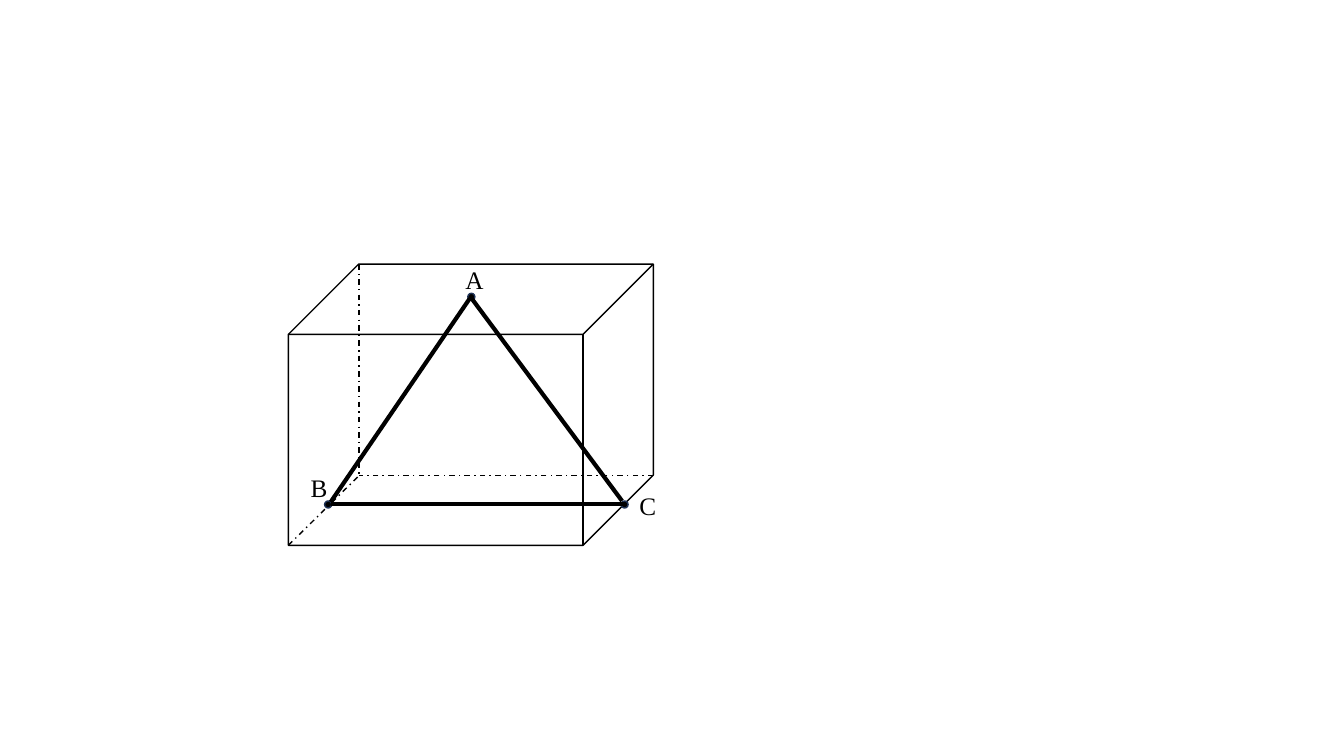
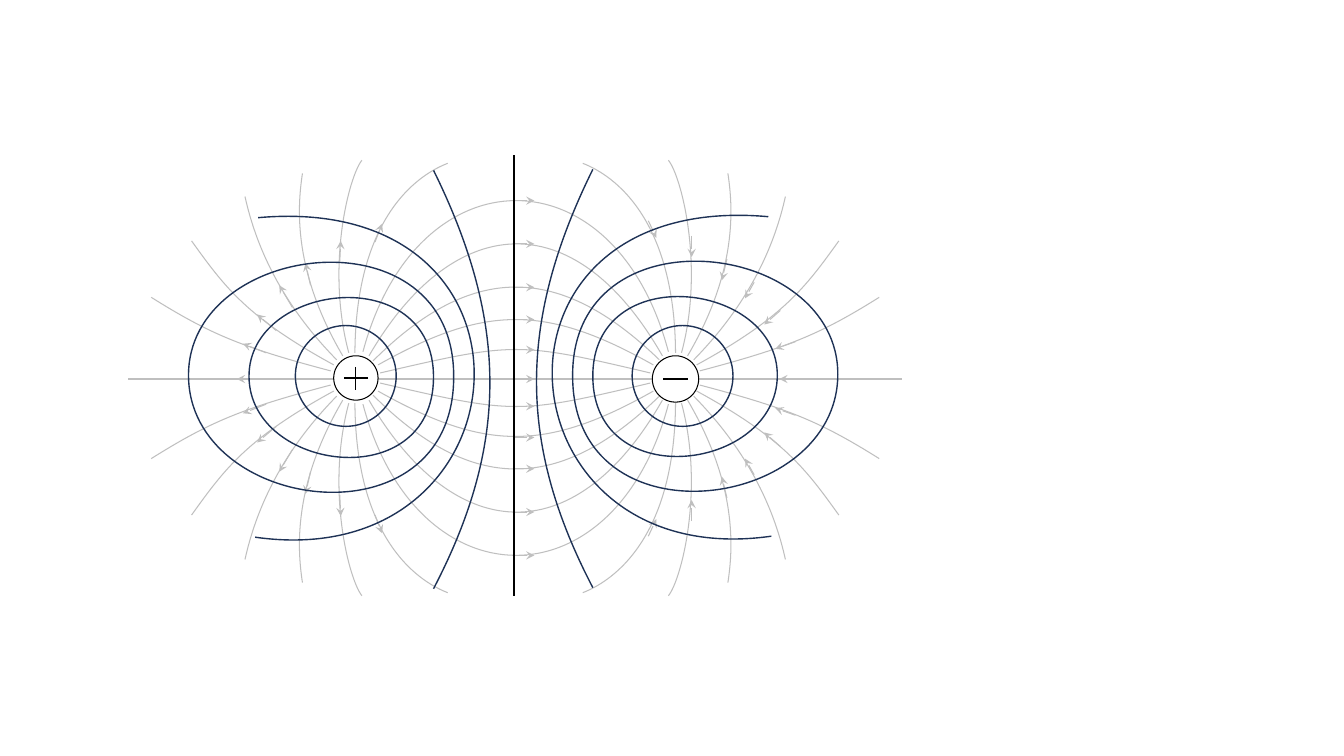
"""Draw a triangle section in a box, and the field of two opposite charges."""
import dataclasses
import itertools
import typing

import lxml.etree
import pptx
import pptx.dml.color
import pptx.enum.dml
import pptx.enum.shapes
import pptx.enum.text
import pptx.oxml.ns
import pptx.util

PX = 9144
COLORS = {"ink": "000000", "navy": "1E3256", "field": "BFBFBF", "paper": "FFFFFF"}
FONT = "Times New Roman"
CURVE_STEPS = 24
FIELD_X_SUM, FIELD_Y_SUM = 1022, 750
ARROW_Y_SUM = 751
POTENTIAL_X_SUM, POTENTIAL_RISE = 1018, 1
AXIS_Y = 376

Point = tuple[int, int]
Points = tuple[Point, ...]
Shapes = typing.Any


@dataclasses.dataclass(frozen=True)
class Stroke:
    color: str
    width: float
    dashed: bool = False
    arrow: bool = False


@dataclasses.dataclass(frozen=True)
class Vertex:
    letter: str
    dot: Point
    label: Point


@dataclasses.dataclass(frozen=True)
class Charge:
    left: int
    top: int
    size: int
    signs: tuple[tuple[Point, Point], ...]


EDGE = Stroke("ink", 1)
HIDDEN_EDGE = Stroke("ink", 1, dashed=True)
TRIANGLE_SIDE = Stroke("ink", 3)
DOT_RIM = Stroke("navy", 1)
FIELD = Stroke("field", 0.75)
FIELD_ARROW = Stroke("field", 0.75, arrow=True)
CHARGE_RIM = Stroke("ink", 0.75)
MIDPLANE = Stroke("ink", 1.5)
POTENTIAL = Stroke("navy", 1)

HIDDEN_CORNER = (356, 472)
HIDDEN_ENDS = ((356, 262), (648, 472), (286, 541))
VERTICES = (
    Vertex("A", (464, 291), (458, 262)),
    Vertex("B", (322, 497), (304, 469)),
    Vertex("C", (616, 497), (630, 486)),
)
TRIANGLE = (
    ((466, 296), (328, 498)),
    ((618, 500), (328, 500)),
    ((467, 295), (617, 497)),
)

BRIDGING_LINES: tuple[Points, ...] = (
    ((377, 370), (511, 339), (513, 339), (645, 370)),
    ((375, 362), (480, 303), (540, 301), (648, 362)),
    ((370, 358), (468, 260), (555, 261), (654, 357)),
    ((366, 353), (447, 213), (568, 197), (657, 353)),
    ((360, 349), (413, 150), (610, 148), (663, 349)),
)
OUTER_LINES: tuple[Points, ...] = (
    ((352, 350), (353, 200), (429, 168), (444, 162)),
    ((346, 350), (323, 265), (346, 175), (359, 159)),
    ((340, 353), (290, 268), (295, 205), (300, 172)),
    ((334, 357), (276, 298), (253, 240), (243, 195)),
    ((331, 362), (245, 315), (223, 285), (190, 239)),
    ((328, 368), (241, 345), (209, 332), (150, 295)),
)
BRIDGING_ARROW_YS = (199, 242, 285, 317, 347, AXIS_Y, 403, 434, 465, 508, 551)
OUTER_ARROWS = (
    ((372, 240), (379, 222)),
    ((337, 260), (338, 239)),
    ((308, 283), (303, 261)),
    ((290, 305), (277, 283)),
    ((274, 328), (255, 312)),
    ((264, 350), (241, 341)),
    ((643, 219), (651, 236)),
    ((686, 234), (686, 255)),
    ((721, 257), (716, 278)),
    ((748, 280), (739, 296)),
    ((774, 308), (758, 322)),
    ((789, 339), (769, 346)),
)
AXIS_ARROWS = (((258, AXIS_Y), (235, AXIS_Y)), ((795, AXIS_Y), (773, AXIS_Y)))
CHARGES = (
    Charge(647, 353, 46, (((682, 376), (658, 376)),)),
    Charge(331, 353, 44, (((353, 364), (353, 387)), ((365, 375), (341, 375)))),
)
POTENTIALS: tuple[Points, ...] = (
    ((430, 169), (506, 323), (503, 444), (430, 584)),
    ((430, 375), (431, 258), (246, 280), (247, 374),
     (248, 468), (429, 492), (430, 375)),
    ((450, 375), (452, 207), (186, 238), (187, 373),
     (188, 509), (449, 543), (450, 375)),
    ((256, 216), (558, 189), (526, 572), (253, 533)),
)
INNER_POTENTIAL_LEFTS = (293, 627)


def px(length: float) -> int:
    """Turn px into EMU."""
    return round(length * PX)


def rgb(name: str) -> pptx.dml.color.RGBColor:
    """Look up a named colour."""
    return pptx.dml.color.RGBColor.from_string(COLORS[name])


def reflect(points: Points, x_sum: int | None = None, y_sum: int | None = None) -> Points:
    """Mirror points about a vertical line, a horizontal line or both."""
    return tuple(
        (x if x_sum is None else x_sum - x, y if y_sum is None else y_sum - y)
        for x, y in points
    )


def apply_stroke(line: typing.Any, stroke: Stroke) -> None:
    """Give a line its colour, width and dash."""
    line.color.rgb = rgb(stroke.color)
    line.width = pptx.util.Pt(stroke.width)
    if stroke.dashed:
        line.dash_style = pptx.enum.dml.MSO_LINE.DASH_DOT


def draw_line(shapes: Shapes, start: Point, end: Point, stroke: Stroke) -> None:
    """Draw a straight connector, with an arrowhead if the stroke has one."""
    connector = shapes.add_connector(
        pptx.enum.shapes.MSO_CONNECTOR.STRAIGHT, *map(px, start + end)
    )
    apply_stroke(connector.line, stroke)
    properties = connector._element.spPr
    if stroke.arrow:
        outline = properties.find(pptx.oxml.ns.qn("a:ln"))
        lxml.etree.SubElement(outline, pptx.oxml.ns.qn("a:tailEnd"), type="stealth")
    lxml.etree.SubElement(properties, pptx.oxml.ns.qn("a:effectLst"))


def draw_shape(
    shapes: Shapes, kind: pptx.enum.shapes.MSO_SHAPE, box: tuple[int, int, int, int],
    stroke: Stroke, fill: str | None = None,
) -> None:
    """Draw a preset shape, unfilled unless a colour is named."""
    figure = shapes.add_shape(kind, *map(px, box))
    figure.shadow.inherit = False
    if fill is None:
        figure.fill.background()
    else:
        figure.fill.solid()
        figure.fill.fore_color.rgb = rgb(fill)
    apply_stroke(figure.line, stroke)


def bezier_point(controls: Points, t: float) -> tuple[float, float]:
    """Find the point of a cubic Bézier curve at t."""
    weights = ((1 - t) ** 3, 3 * t * (1 - t) ** 2, 3 * t * t * (1 - t), t**3)
    x, y = (sum(w * v for w, v in zip(weights, axis)) for axis in zip(*controls))
    return x, y


def draw_curve(shapes: Shapes, points: Points, stroke: Stroke) -> None:
    """Draw joined cubic curves in a freeform that fits them tightly."""
    spans = [points[i:i + 4] for i in range(0, len(points) - 1, 3)]
    samples = [
        bezier_point(span, step / CURVE_STEPS)
        for span in spans for step in range(1, CURVE_STEPS + 1)
    ]
    builder = shapes.build_freeform(*map(px, points[0]))
    closed = points[0] == points[-1]
    builder.add_line_segments([(px(x), px(y)) for x, y in samples], close=closed)
    curve = builder.convert_to_shape()
    outline = next(curve._element.iter(pptx.oxml.ns.qn("a:path")))
    for segment in list(outline)[1:]:
        outline.remove(segment)
    for span in spans:
        bend = lxml.etree.SubElement(outline, pptx.oxml.ns.qn("a:cubicBezTo"))
        for x, y in span[1:]:
            lxml.etree.SubElement(
                bend, pptx.oxml.ns.qn("a:pt"),
                x=str(px(x) - curve.left), y=str(px(y) - curve.top),
            )
    if closed:
        lxml.etree.SubElement(outline, pptx.oxml.ns.qn("a:close"))
    curve.shadow.inherit = False
    curve.fill.background()
    apply_stroke(curve.line, stroke)


def write_text(
    shapes: Shapes, text: str, corner: Point, *, width: int = 25, height: int = 30,
    size: int = 18, color: str = "ink",
) -> None:
    """Write centred text in a box without margins."""
    frame = shapes.add_textbox(*map(px, (*corner, width, height))).text_frame
    frame.margin_left = frame.margin_right = frame.margin_top = frame.margin_bottom = 0
    frame.word_wrap = True
    frame.auto_size = pptx.enum.text.MSO_AUTO_SIZE.SHAPE_TO_FIT_TEXT
    paragraph = frame.paragraphs[0]
    paragraph.alignment = pptx.enum.text.PP_ALIGN.CENTER
    run = paragraph.add_run()
    run.text = text
    run.font.name = FONT
    run.font.size = pptx.util.Pt(size)
    run.font.color.rgb = rgb(color)


def draw_box_section(shapes: Shapes) -> None:
    """Draw the box with triangle ABC inside it."""
    draw_shape(shapes, pptx.enum.shapes.MSO_SHAPE.CUBE, (286, 262, 362, 279), EDGE)
    for end in HIDDEN_ENDS:
        draw_line(shapes, end, HIDDEN_CORNER, HIDDEN_EDGE)
    for vertex in VERTICES:
        draw_shape(shapes, pptx.enum.shapes.MSO_SHAPE.OVAL, (*vertex.dot, 7, 7), DOT_RIM, "ink")
        write_text(shapes, vertex.letter, vertex.label)
    for start, end in TRIANGLE:
        draw_line(shapes, start, end, TRIANGLE_SIDE)


def draw_field(shapes: Shapes) -> None:
    """Draw the field lines, their arrows and the two charges."""
    for end in (127, 895):
        draw_line(shapes, (352, AXIS_Y), (end, AXIS_Y), FIELD)
    for x_sum, y_sum in itertools.product((None, FIELD_X_SUM), (None, FIELD_Y_SUM)):
        for points in OUTER_LINES:
            draw_curve(shapes, reflect(points, x_sum, y_sum), FIELD)
    for y_sum in (None, FIELD_Y_SUM):
        for points in BRIDGING_LINES:
            draw_curve(shapes, reflect(points, y_sum=y_sum), FIELD)
    bridging_arrows = tuple(((510, y), (530, y)) for y in BRIDGING_ARROW_YS)
    lower_arrows = tuple(reflect(arrow, y_sum=ARROW_Y_SUM) for arrow in OUTER_ARROWS)
    for start, end in bridging_arrows + OUTER_ARROWS + lower_arrows + AXIS_ARROWS:
        draw_line(shapes, start, end, FIELD_ARROW)
    for charge in CHARGES:
        box = (charge.left, charge.top, charge.size, charge.size)
        draw_shape(shapes, pptx.enum.shapes.MSO_SHAPE.OVAL, box, CHARGE_RIM, "paper")
        for start, end in charge.signs:
            draw_line(shapes, start, end, CHARGE_RIM)


def draw_dipole(shapes: Shapes) -> None:
    """Draw the field of two charges with its equipotential curves."""
    draw_field(shapes.add_group_shape().shapes)
    draw_line(shapes, (510, 154), (510, 591), MIDPLANE)
    for x_sum, rise in ((None, 0), (POTENTIAL_X_SUM, POTENTIAL_RISE)):
        half = shapes.add_group_shape().shapes
        for points in POTENTIALS:
            raised = tuple((x, y - rise) for x, y in points)
            draw_curve(half, reflect(raised, x_sum), POTENTIAL)
    for left in INNER_POTENTIAL_LEFTS:
        draw_shape(shapes, pptx.enum.shapes.MSO_SHAPE.OVAL, (left, 323, 100, 100), POTENTIAL)


def main() -> None:
    """Build both slides and save them."""
    deck = pptx.Presentation()
    deck.slide_width, deck.slide_height = px(1333), px(750)
    for draw in (draw_box_section, draw_dipole):
        draw(deck.slides.add_slide(deck.slide_layouts[6]).shapes)
    deck.save("out.pptx")


if __name__ == "__main__":
    main()
